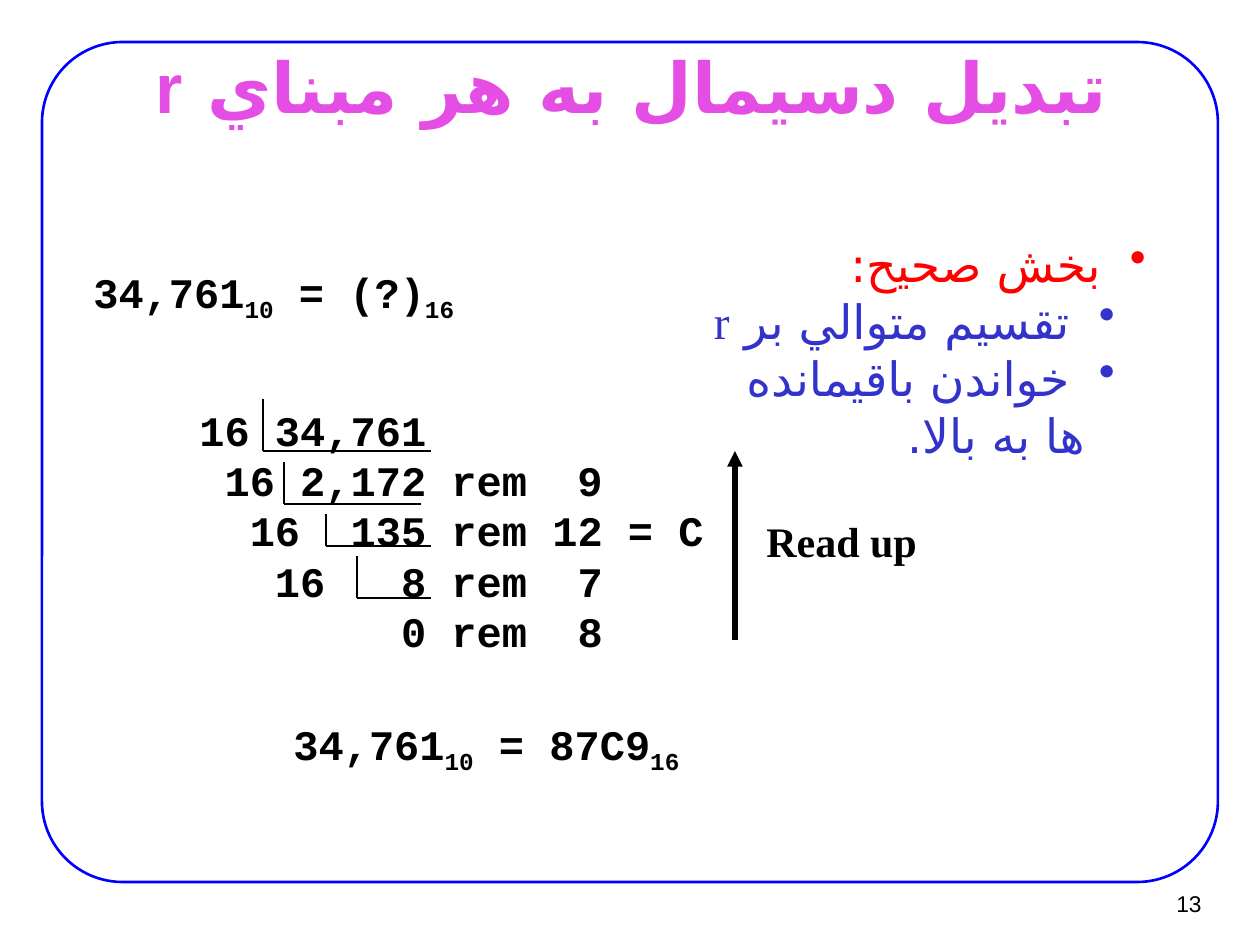
from dataclasses import dataclass

from lxml.etree import SubElement
from pptx import Presentation
from pptx.dml.color import RGBColor
from pptx.enum.shapes import MSO_CONNECTOR, MSO_SHAPE
from pptx.enum.text import MSO_ANCHOR, PP_ALIGN
from pptx.oxml.ns import qn
from pptx.util import Pt

PX = 7257  # EMU per pixel at 126 px to the inch


@dataclass(frozen=True)
class Theme:
    frame: str = "0000FF"
    title: str = "E44EE4"
    heading: str = "FF0000"
    bullet: str = "3333CC"
    ink: str = "000000"
    sans: str = "Arial"
    serif: str = "Times New Roman"
    mono: str = "Courier New"
    persian: str = "DejaVu Sans"
    title_size: int = 40
    bullet_size: int = 27
    body_size: int = 24
    number_size: int = 13


THEME = Theme()


def px(*lengths):
    return [round(length * PX) for length in lengths]


def add_run(paragraph, text, font, size, color, bold=False, baseline=None):
    run = paragraph.add_run()
    run.text = text
    run.font.name, run.font.size, run.font.bold = font, Pt(size), bold
    run.font.color.rgb = RGBColor.from_string(color)
    properties = run._r.get_or_add_rPr()
    SubElement(properties, qn("a:cs")).set("typeface", THEME.persian)
    if baseline:
        properties.set("baseline", str(baseline))


def add_text_frame(slide, box, wrap=False):
    frame = slide.shapes.add_textbox(*px(*box)).text_frame
    frame.word_wrap = wrap
    return frame


def paragraphs_for(frame, items):
    """Pair every item with its own paragraph."""
    for index, item in enumerate(items):
        yield (frame.add_paragraph() if index else frame.paragraphs[0]), item


def add_line(slide, start, end, width=0.75, arrow=False):
    line = slide.shapes.add_connector(MSO_CONNECTOR.STRAIGHT, *px(*start, *end))
    line.line.color.rgb = RGBColor.from_string(THEME.ink)
    line.line.width = Pt(width)
    if arrow:
        SubElement(line.line._get_or_add_ln(), qn("a:tailEnd")).set("type", "triangle")
    SubElement(line._element.spPr, qn("a:effectLst"))


def add_border(slide, box):
    border = slide.shapes.add_shape(MSO_SHAPE.ROUNDED_RECTANGLE, *px(*box))
    border.adjustments[0] = 0.096
    border.shadow.inherit = False
    border.fill.background()
    border.line.color.rgb = RGBColor.from_string(THEME.frame)
    border.line.width = Pt(1.5)


def add_title(slide, box, text):
    title = slide.shapes.title
    title.left, title.top, title.width, title.height = px(*box)
    frame = title.text_frame
    frame.vertical_anchor = MSO_ANCHOR.MIDDLE
    paragraph = frame.paragraphs[0]
    paragraph.alignment = PP_ALIGN.CENTER
    paragraph._p.get_or_add_pPr().set("rtl", "1")
    add_run(paragraph, text, THEME.sans, THEME.title_size, THEME.title, bold=True)


def add_bullets(slide, box, items):
    """Right-to-left bullets; each item is (level, text, color)."""
    indent = px(31)[0]
    frame = add_text_frame(slide, box, wrap=True)
    for paragraph, (level, text, color) in paragraphs_for(frame, items):
        paragraph.alignment = PP_ALIGN.RIGHT
        paragraph.level = level
        paragraph.line_spacing = Pt(32.5)
        properties = paragraph._p.get_or_add_pPr()
        properties.set("rtl", "1")
        properties.set("marL", str(indent * (level + 1)))
        properties.set("marR", "0")
        properties.set("indent", str(-indent))
        SubElement(properties, qn("a:buChar")).set("char", "•")
        add_run(paragraph, text, THEME.serif, THEME.bullet_size, color)


def add_equation(slide, box, parts):
    """Parts alternate between plain text and a subscript base."""
    paragraph = add_text_frame(slide, box).paragraphs[0]
    for index, part in enumerate(parts):
        add_run(paragraph, part, THEME.mono, THEME.body_size, THEME.ink, True,
                baseline=-25000 if index % 2 else None)


def add_division(slide, box, rows, brackets):
    """Repeated division; a bracket is (left, top, right, bottom) in the box."""
    left, top = box[:2]
    frame = add_text_frame(slide, box)
    for paragraph, row in paragraphs_for(frame, rows):
        paragraph.line_spacing = Pt(28.8)
        add_run(paragraph, row, THEME.mono, THEME.body_size, THEME.ink, True)
    for x1, y1, x2, y2 in brackets:
        corner = (left + x1, top + y2)
        add_line(slide, (left + x1, top + y1), corner)
        add_line(slide, corner, (left + x2, top + y2))


def add_read_up(slide, box, text):
    left, top, width, height = box
    add_line(slide, (left, top + height), (left, top), width=3, arrow=True)
    frame = add_text_frame(slide, (left + 19, top + 58, width - 19, 64))
    add_run(frame.paragraphs[0], text, THEME.serif, THEME.body_size, THEME.ink, True)


def add_number(slide, box, text):
    frame = add_text_frame(slide, box)
    frame.vertical_anchor = MSO_ANCHOR.MIDDLE
    frame.paragraphs[0].alignment = PP_ALIGN.RIGHT
    add_run(frame.paragraphs[0], text, THEME.sans, THEME.number_size, THEME.ink)


def main():
    presentation = Presentation()
    presentation.slide_width, presentation.slide_height = px(1260, 945)
    slide = presentation.slides.add_slide(presentation.slide_layouts[5])

    add_border(slide, (42, 42, 1176, 840))
    add_number(slide, (1137, 880, 77, 47), "13")
    add_title(slide, (96, 55, 1071, 62), "تبديل دسيمال به هر مبناي r")
    add_bullets(slide, (680, 229, 479, 240), [
        (0, " بخش صحيح:", THEME.heading),
        (1, " تقسيم متوالي بر r", THEME.bullet),
        (1, " خواندن باقيمانده ها به بالا.", THEME.bullet),
    ])
    add_division(slide, (187, 398, 533, 318), [
        "16 34,761",
        " 16 2,172\trem  9",
        "  16  135 rem 12 = C",
        "   16   8 rem  7",
        "        0 rem  8",
    ], [
        (76, 1, 244, 53),
        (97, 64, 234, 106),
        (139, 116, 244, 148),
        (170, 158, 244, 200),
    ])
    add_read_up(slide, (735, 451, 197, 189), "Read up")
    add_equation(slide, (281, 712, 420, 63), ("34,761", "10", " = 87C9", "16"))
    add_equation(slide, (81, 260, 394, 63), ("34,761", "10", " = (?)", "16"))

    presentation.save("out.pptx")


if __name__ == "__main__":
    main()
